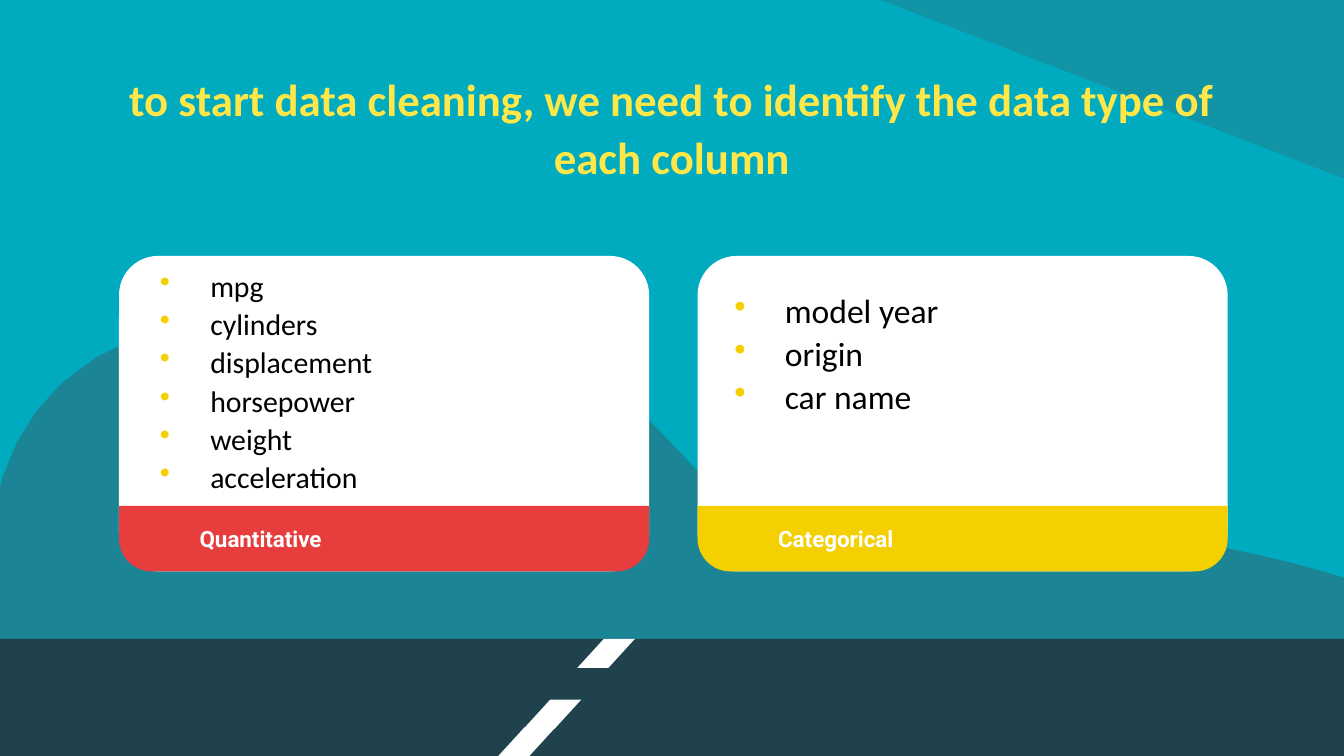
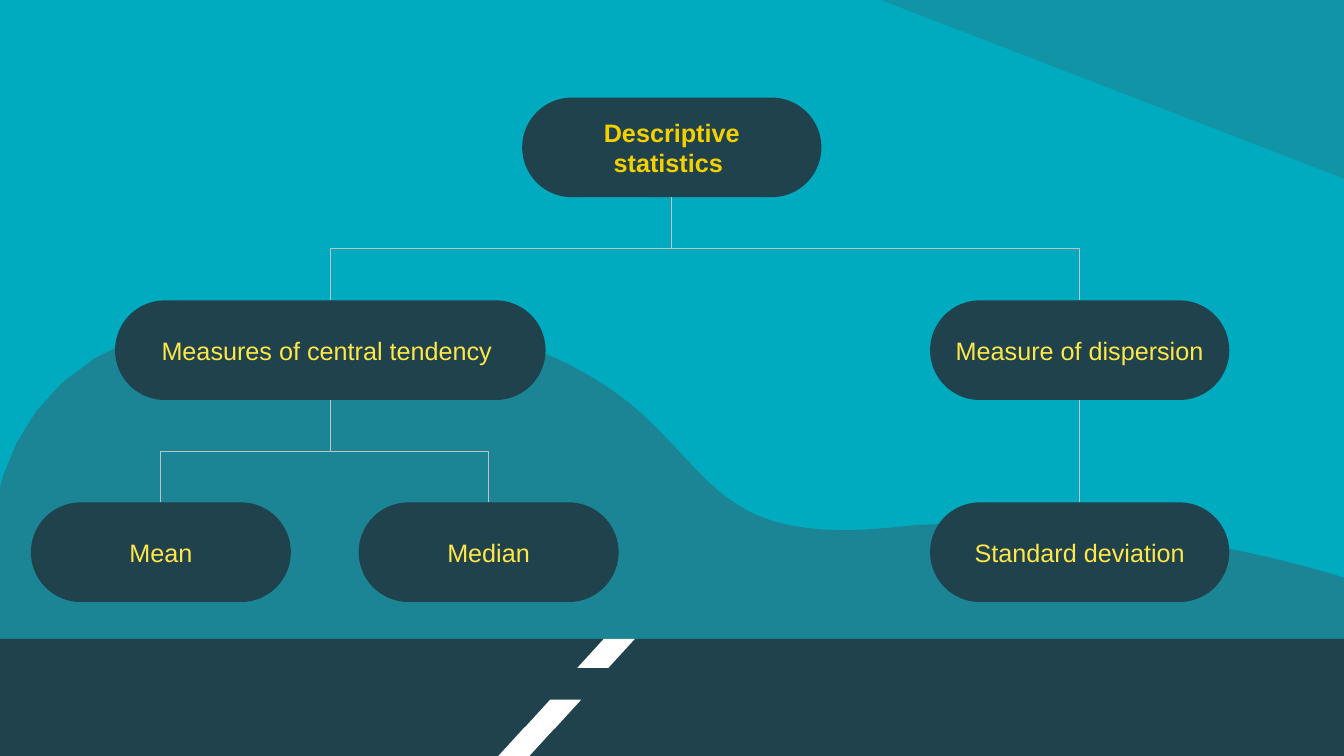
import pptx
import pptx.dml.color
import pptx.enum.dml
import pptx.enum.shapes
import pptx.enum.text
import pptx.oxml
import pptx.oxml.ns
import pptx.util

Cm = pptx.util.Cm
Pt = pptx.util.Pt
SHAPE = pptx.enum.shapes.MSO_SHAPE
CONNECTOR = pptx.enum.shapes.MSO_CONNECTOR
ALIGN = pptx.enum.text.PP_ALIGN
ANCHOR = pptx.enum.text.MSO_ANCHOR
qn = pptx.oxml.ns.qn

WIDTH, HEIGHT = 33.87, 19.05
ROAD_TOP = 16.1
TITLE_ONLY, BLANK = 5, 6
TOP, BOTTOM = 0, 2

SKY, HILL, ROAD = "00ABBF", "336574", "1F424C"
WHITE, BLACK, GREY = "FFFFFF", "000000", "C2C2C2"
RED, GOLD, YELLOW = "E83D3D", "F4D000", "FFE649"

HILL_START = (7.92, 7.87)
HILL_RIGHT = [
    ((12.7, 7.87), (15.21, 9.47), (16.38, 10.62)),
    ((17.96, 12.14), (18.41, 13.36), (21.29, 13.36)),
    ((21.77, 13.36), (22.3, 13.31), (23.11, 13.23)),
    ((23.65, 13.21), (24.18, 13.18), (24.71, 13.18)),
    ((29.92, 13.18), (34.09, 14.63), (34.09, 14.63)),
]
HILL_BASE = [(34.01, 16.97), (0.1, 17.27)]
HILL_LEFT = [
    ((0.1, 17.27), (-2.59, 8.56), (6.25, 7.92)),
    ((6.83, 7.87), (7.39, 7.87), HILL_START),
]


def color(value):
    """Turn a hex string into a colour."""
    return pptx.dml.color.RGBColor.from_string(value)


def trace(start, curves, steps=16):
    """Return points along a chain of cubic curves."""
    points = [start]
    for first, second, end in curves:
        origin = points[-1]
        for step in range(1, steps + 1):
            t = step / steps
            weights = ((1 - t) ** 3, 3 * t * (1 - t) ** 2, 3 * t * t * (1 - t), t ** 3)
            corners = (origin, first, second, end)
            points.append(tuple(sum(w * c[axis] for w, c in zip(weights, corners))
                                for axis in (0, 1)))
    return points


class Deck:
    """Hold the style, the presentation and the current slide."""

    def __init__(self):
        """Set the slide size and the background."""
        self.presentation = pptx.Presentation()
        self.presentation.slide_width = Cm(WIDTH)
        self.presentation.slide_height = Cm(HEIGHT)
        self.master = self.presentation.slide_master
        self.master.background.fill.solid()
        self.master.background.fill.fore_color.rgb = color(SKY)
        self.slide = None

    def add_slide(self, layout):
        """Start a new slide."""
        self.slide = self.presentation.slides.add_slide(
            self.presentation.slide_layouts[layout])

    def paint(self, shape, fill, opacity=None):
        """Give a shape a plain fill without line or shadow."""
        shape.shadow.inherit = False
        shape.line.fill.background()
        shape.fill.solid()
        shape.fill.fore_color.rgb = color(fill)
        if opacity:
            solid = shape.element.spPr.find(qn("a:solidFill"))
            alpha = pptx.oxml.parse_xml(
                f'<a:alpha {pptx.oxml.ns.nsdecls("a")} val="{opacity * 1000}"/>')
            solid[0].append(alpha)
        return shape

    def shape(self, kind, box, fill, adjustments=(), opacity=None):
        """Add a preset shape."""
        shape = self.slide.shapes.add_shape(kind, *map(Cm, box))
        for index, value in enumerate(adjustments):
            shape.adjustments[index] = value
        return self.paint(shape, fill, opacity)

    def outline(self, points, fill, opacity):
        """Add a closed freeform."""
        points = [(Cm(x), Cm(y)) for x, y in points]
        builder = self.slide.shapes.build_freeform(*points[0])
        builder.add_line_segments(points[1:])
        return self.paint(builder.convert_to_shape(), fill, opacity)

    def scenery(self):
        """Draw the sky, hill and road and move them to the master."""
        shapes = [
            self.shape(SHAPE.RIGHT_TRIANGLE, (22.2, 0, 11.67, 4.5), HILL, opacity=32),
            self.outline(trace(HILL_START, HILL_RIGHT) + HILL_BASE
                         + trace(HILL_BASE[-1], HILL_LEFT), HILL, 54),
            self.shape(SHAPE.RECTANGLE, (0, ROAD_TOP, WIDTH, HEIGHT - ROAD_TOP), ROAD),
        ]
        shapes[0].rotation = 180
        for left, top in ((14.55, ROAD_TOP), (13.2, 17.63), (12.55, 18.33)):
            shapes.append(self.shape(SHAPE.PARALLELOGRAM, (left, top, 1.45, 0.73),
                                     WHITE, [0.915]))
        tree = self.master.shapes.element
        for index, shape in enumerate(shapes):
            shape.element.nvSpPr.cNvPr.set("id", str(100 + index))
            tree.insert(2 + index, shape.element)

    def frame(self, shape, margins, anchor):
        """Set up the text frame of a shape."""
        frame = shape.text_frame
        frame.word_wrap = True
        frame.auto_size = pptx.enum.text.MSO_AUTO_SIZE.NONE
        frame.vertical_anchor = anchor
        (frame.margin_left, frame.margin_top,
         frame.margin_right, frame.margin_bottom) = map(Cm, margins)
        return frame

    def run(self, paragraph, text, size, font, fill, bold=False):
        """Add one formatted run."""
        run = paragraph.add_run()
        run.text = text
        run.font.size = Pt(size)
        run.font.name = font
        run.font.bold = bold
        run.font.color.rgb = color(fill)

    def title(self, text):
        """Place and fill the title."""
        title = self.slide.shapes.title
        title.left, title.top, title.width, title.height = map(
            Cm, (2.64, 1.45, 28.58, 3.43))
        paragraph = self.frame(title, [0.33] * 4, ANCHOR.MIDDLE).paragraphs[0]
        paragraph.alignment = ALIGN.CENTER
        paragraph.line_spacing = 1.07
        paragraph.space_after = Pt(10.7)
        self.run(paragraph, text, 32, "Calibri", YELLOW, True)

    def card(self, left, label, fill):
        """Add a white card with a labelled band along its bottom."""
        top, width, height, band = 6.45, 13.36, 7.95, 1.65
        self.shape(SHAPE.ROUNDED_RECTANGLE, (left, top, width, height), WHITE, [0.124])
        shape = self.shape(SHAPE.ROUND_2_SAME_RECTANGLE,
                           (left, top + height - band, width, band), fill, [0, 0.5])
        frame = self.frame(shape, (1.79, 0.24, 0.33, 0), ANCHOR.MIDDLE)
        frame.paragraphs[0].alignment = ALIGN.LEFT
        self.run(frame.paragraphs[0], label, 16, "Roboto", WHITE, True)

    def bullets(self, box, items, size):
        """Add a bulleted list."""
        shape = self.slide.shapes.add_textbox(*map(Cm, box))
        frame = self.frame(shape, [0.25] * 4, ANCHOR.TOP)
        for index, item in enumerate(items):
            paragraph = frame.add_paragraph() if index else frame.paragraphs[0]
            properties = paragraph._p.get_or_add_pPr()
            properties.set("marL", str(Cm(1.27)))
            properties.set("indent", str(-Cm(1.27)))
            namespace = pptx.oxml.ns.nsdecls("a")
            for xml in (f'<a:buClr {namespace}><a:srgbClr val="{GOLD}"/></a:buClr>',
                        f'<a:buChar {namespace} char="•"/>'):
                properties.append(pptx.oxml.parse_xml(xml))
            paragraph.line_spacing = 1.07
            self.run(paragraph, item, size, "Calibri", BLACK)

    def node(self, left, top, width, text, fill=YELLOW, bold=False):
        """Add a pill of the tree."""
        shape = self.shape(SHAPE.ROUNDED_RECTANGLE, (left, top, width, 2.51), ROAD, [0.5])
        paragraph = self.frame(shape, [0.25] * 4, ANCHOR.MIDDLE).paragraphs[0]
        paragraph.alignment = ALIGN.CENTER
        self.run(paragraph, text, 18, "Arial", fill, bold)
        return shape

    def branch(self, parent, child):
        """Join the bottom of a parent to the top of a child."""
        start_x, start_y = parent.left + parent.width // 2, parent.top + parent.height
        end_x, end_y = child.left + child.width // 2, child.top
        across, down = end_x - start_x, end_y - start_y
        kind = CONNECTOR.ELBOW if across else CONNECTOR.STRAIGHT
        connector = self.slide.shapes.add_connector(kind, start_x, start_y, end_x, end_y)
        connector.begin_connect(parent, BOTTOM)
        connector.end_connect(child, TOP)
        properties = connector.element.spPr
        if across:
            transform = properties.find(qn("a:xfrm"))
            transform.attrib.pop("flipH", None)
            transform.set("rot", "16200000" if across > 0 else "5400000")
            if across > 0:
                transform.set("flipH", "1")
            connector.left = (start_x + end_x - down) // 2
            connector.top = (start_y + end_y - abs(across)) // 2
            connector.width, connector.height = down, abs(across)
        connector.line.color.rgb = color(GREY)
        connector.line.width = Pt(0.75)
        properties.append(pptx.oxml.parse_xml(
            f'<a:effectLst {pptx.oxml.ns.nsdecls("a")}/>'))


def data_types(deck):
    """Build the slide on column data types."""
    deck.add_slide(TITLE_ONLY)
    deck.scenery()
    deck.title("to start data cleaning, we need to identify the data type of each column")
    deck.card(3, "Quantitative", RED)
    deck.card(17.58, "Categorical", GOLD)
    deck.bullets((18.26, 6.99, 9.22, 4.22), ["model year", "origin", "car name"], 24)
    deck.bullets((3.78, 6.43, 9.19, 6.43),
                 ["mpg", "cylinders", "displacement", "horsepower", "weight",
                  "acceleration"], 21.3)


def statistics_tree(deck):
    """Build the slide with the tree of descriptive statistics."""
    deck.add_slide(BLANK)
    first, second, third = 2.46, 7.57, 12.66
    root = deck.node(13.16, first, 7.54, "Descriptive statistics ", GOLD, True)
    dispersion = deck.node(23.44, second, 7.54, "Measure of dispersion")
    tendency = deck.node(2.9, second, 10.85, "Measures of central tendency ")
    mean = deck.node(0.78, third, 6.55, "Mean")
    median = deck.node(9.04, third, 6.55, "Median")
    deviation = deck.node(23.44, third, 7.54, "Standard deviation")
    for parent, child in ((root, dispersion), (root, tendency), (tendency, median),
                          (tendency, mean), (dispersion, deviation)):
        deck.branch(parent, child)


def main():
    """Build and save the presentation."""
    deck = Deck()
    data_types(deck)
    statistics_tree(deck)
    deck.presentation.save("out.pptx")


if __name__ == "__main__":
    main()
